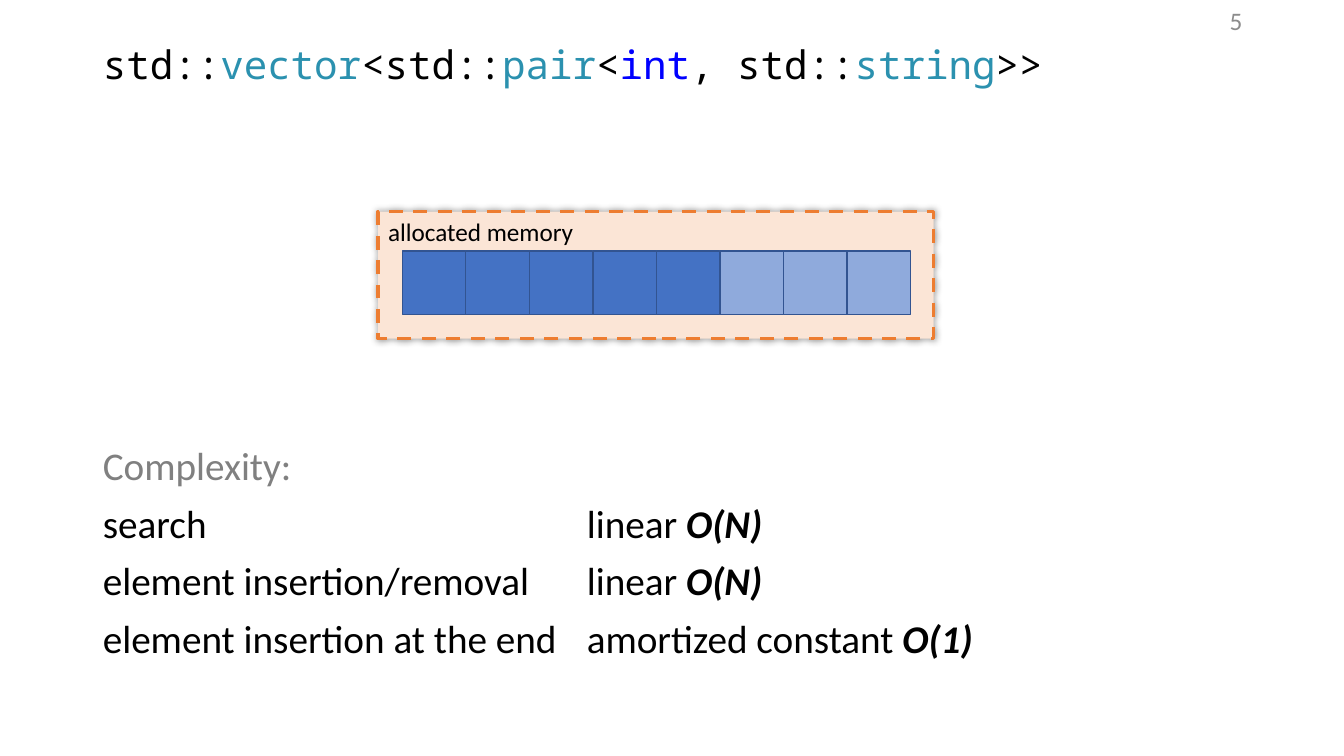
"""Build the slide on the memory and complexity of a vector of pairs."""
from lxml.etree import SubElement
from pptx import Presentation
from pptx.dml.color import RGBColor
from pptx.enum.dml import MSO_LINE as Dash
from pptx.enum.shapes import MSO_SHAPE as Shape
from pptx.enum.text import MSO_ANCHOR as Anchor, MSO_AUTO_SIZE as Fit, PP_ALIGN as Align
from pptx.oxml.ns import qn
from pptx.util import Pt

PX = 9144
BLACK, TEAL, BLUE = "000000", "2B91AF", "0000FF"
CODE = [("std::", BLACK), ("vector", TEAL), ("<std::", BLACK), ("pair", TEAL),
        ("<", BLACK), ("int", BLUE), (", std::", BLACK), ("string", TEAL),
        (">>", BLACK)]
COSTS = [("search", "linear ", "O(N)"),
         ("element insertion/removal", "linear ", "O(N)"),
         ("element insertion at the end", "amortized constant ", "O(1)")]


def px(*sizes):
    """Turn pixels into EMU."""
    return [size * PX for size in sizes]


def rgb(code):
    """Turn a hex string into a colour."""
    return RGBColor.from_string(code)


def write(frame, text, size=28, font="Calibri", color=BLACK, strong=False,
          align=Align.LEFT, anchor=Anchor.TOP):
    """Add a run of text to the first paragraph of a frame."""
    frame.word_wrap = True
    frame.vertical_anchor = anchor
    para = frame.paragraphs[0]
    para.alignment = align
    run = para.add_run()
    run.text = text
    face = run.font
    face.size, face.name = Pt(size), font
    face.bold = face.italic = strong
    face.color.rgb = rgb(color)


def add_rect(shapes, place, fill, line, width):
    """Add a plain rectangle with a fill and a line."""
    rect = shapes.add_shape(Shape.RECTANGLE, *px(*place))
    rect.shadow.inherit = False
    rect.fill.solid()
    rect.fill.fore_color.rgb = rgb(fill)
    rect.line.color.rgb = rgb(line)
    rect.line.width = Pt(width)
    return rect


def add_glow(shape, blur, alpha):
    """Give a shape a soft black shadow on all sides."""
    effects = shape._element.spPr.find(qn("a:effectLst"))
    shade = SubElement(effects, qn("a:outerShdw"), blurRad=str(Pt(blur)),
                       dist="0", dir="0", algn="ctr", rotWithShape="0")
    tint = SubElement(shade, qn("a:srgbClr"), val=BLACK)
    SubElement(tint, qn("a:alpha"), val=str(alpha * 1000))


def add_title(slide):
    """Place the type name as code in the title."""
    title = slide.shapes.title
    title.left, title.top, title.width, title.height = px(92, 40, 1241, 565)
    frame = title.text_frame
    frame.auto_size = Fit.NONE
    for text, color in CODE:
        write(frame, text, font="Noto Sans Mono", color=color)
    para = frame.paragraphs[0]
    para.line_spacing, para.space_before = 0.9, Pt(10)


def add_memory(slide):
    """Draw the allocated block with its used and free cells."""
    block = add_rect(slide.shapes, (375, 210, 551, 126), "FBE5D6", "ED7D31", 2.5)
    block.line.dash_style = Dash.DASH
    add_glow(block, 5, 40)
    write(block.text_frame, "allocated memory", size=18)
    group = slide.shapes.add_group_shape()
    side, used, total = 63, 5, 8
    for i in range(total):
        fill = "4472C4" if i < used else "8FAADC"
        add_rect(group.shapes, (399 + i * side, 249, side, side), fill, "325491", 1)


def add_number(slide):
    """Put the page number in the top right corner."""
    box = slide.shapes.add_textbox(*px(942, 0, 300, 40))
    write(box.text_frame, "5", size=18, color="8C8C8C", align=Align.RIGHT,
          anchor=Anchor.MIDDLE)


def add_costs(slide):
    """Add the table of complexities."""
    rows = len(COSTS) + 1
    table = slide.shapes.add_table(rows, 2, *px(92, 435, 924, 57 * rows)).table
    table.first_row = table.horz_banding = False
    for col, width in zip(table.columns, px(480, 444)):
        col.width = width
    for cell in table.iter_cells():
        cell.fill.background()
    head = table.cell(0, 0)
    head.merge(table.cell(0, 1))
    write(head.text_frame, "Complexity:", color="808080")
    for i, (task, kind, order) in enumerate(COSTS, 1):
        write(table.cell(i, 0).text_frame, task)
        cost = table.cell(i, 1).text_frame
        write(cost, kind)
        write(cost, order, strong=True)


def main():
    """Build and save the slide."""
    deck = Presentation()
    deck.slide_width, deck.slide_height = px(1333, 750)
    slide = deck.slides.add_slide(deck.slide_layouts[5])
    add_title(slide)
    add_memory(slide)
    add_number(slide)
    add_costs(slide)
    deck.save("out.pptx")


if __name__ == "__main__":
    main()
